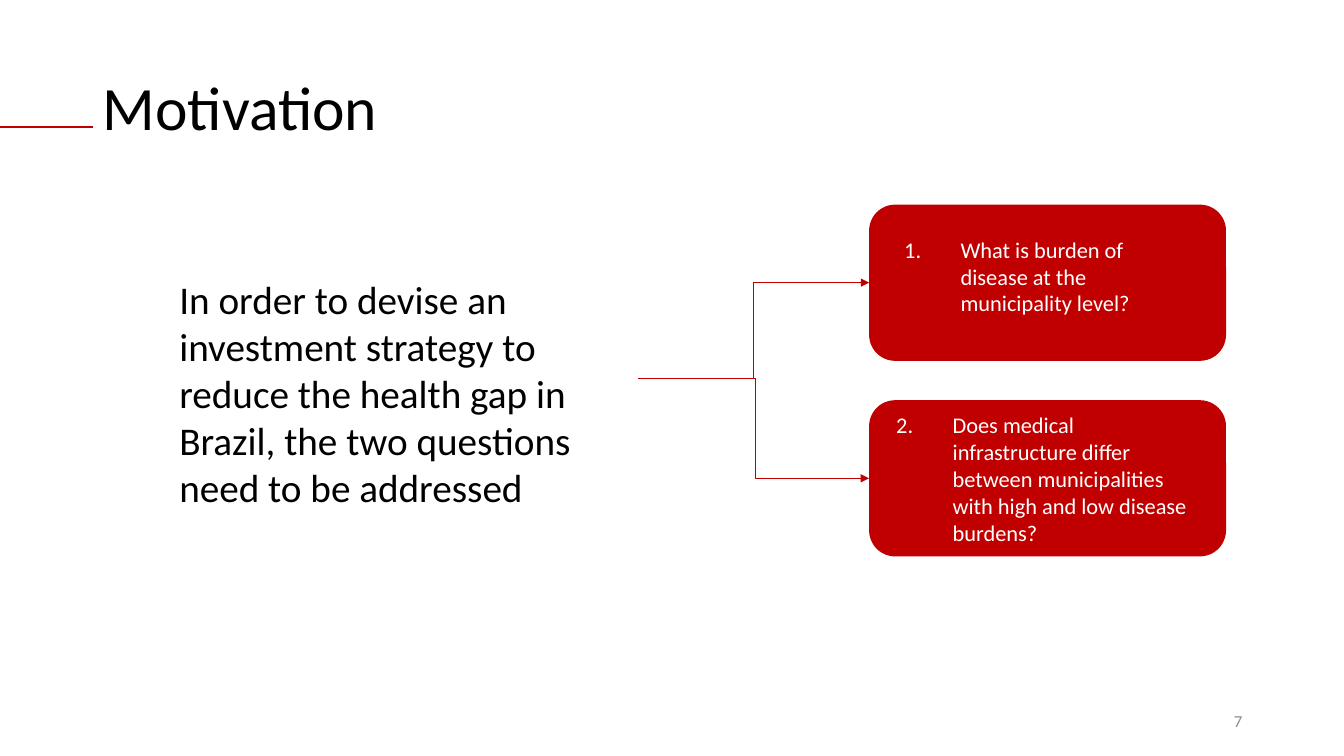
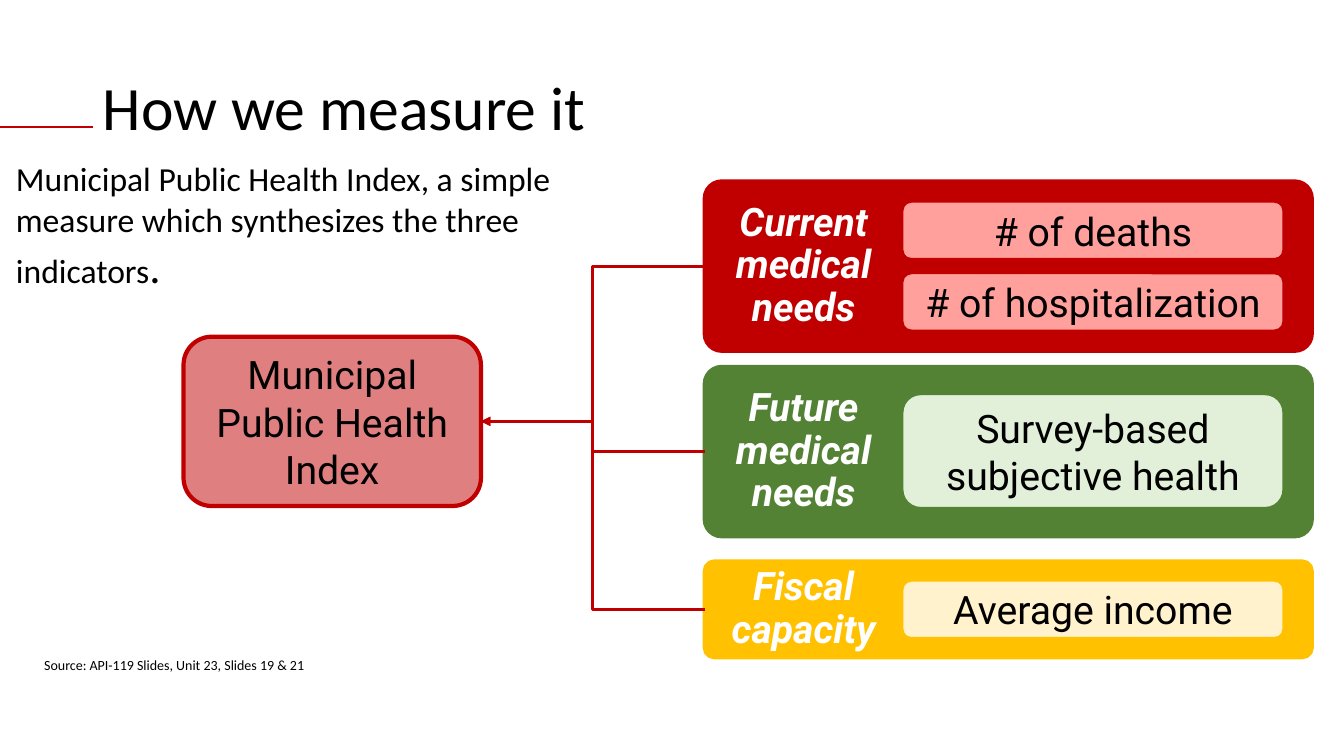
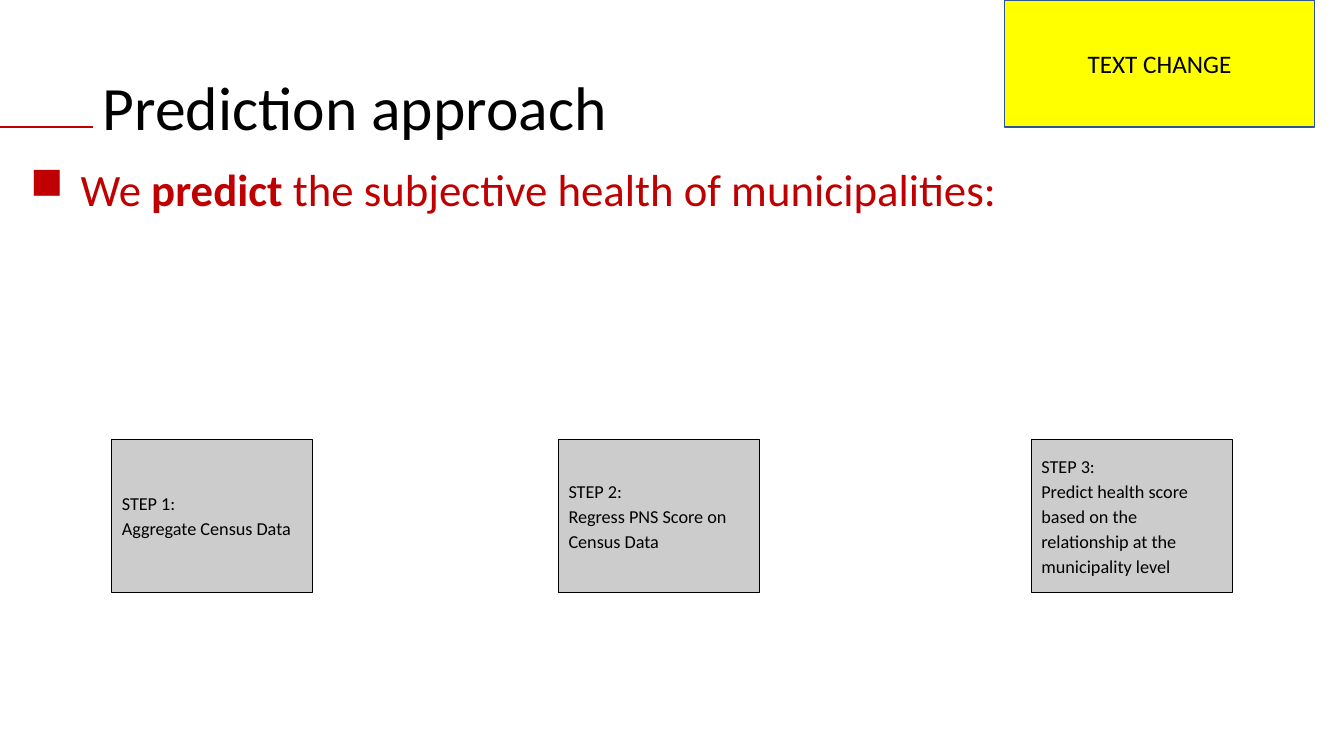
from dataclasses import dataclass

from lxml import etree
from pptx import Presentation
from pptx import util as u
from pptx.dml.color import RGBColor
from pptx.enum import shapes, text
from pptx.oxml.ns import qn

PX = 9144


@dataclass(frozen=True)
class Theme:
    body_font: str = "Calibri"
    diagram_font: str = "Roboto"
    red: str = "C00000"
    pink: str = "FFA09C"
    green: str = "538234"
    dark_green: str = "548235"
    pale_green: str = "E2F0D9"
    amber: str = "FFC100"
    cream: str = "FFF2CC"
    grey: str = "CCCCCC"
    yellow: str = "FFFF00"
    navy: str = "325491"
    black: str = "000000"
    white: str = "FFFFFF"
    muted: str = "8C8C8C"
    title: int = 44
    heading: int = 32
    diagram: int = 28
    intro: int = 24
    flag: int = 18
    question: int = 16
    step: int = 13
    number: int = 12
    source: int = 10


theme = Theme()
LEFT, CENTER, RIGHT = text.PP_ALIGN.LEFT, text.PP_ALIGN.CENTER, text.PP_ALIGN.RIGHT
TOP, MIDDLE = text.MSO_ANCHOR.TOP, text.MSO_ANCHOR.MIDDLE
RECT = shapes.MSO_SHAPE.RECTANGLE
ROUNDED = shapes.MSO_SHAPE.ROUNDED_RECTANGLE
STRAIGHT, ELBOW = shapes.MSO_CONNECTOR.STRAIGHT, shapes.MSO_CONNECTOR.ELBOW


def add_box(page, place, kind=None, fill=None, outline=None, weight=3):
    lengths = [length * PX for length in place]
    if kind is None:
        return page.shapes.add_textbox(*lengths)
    box = page.shapes.add_shape(kind, *lengths)
    box.shadow.inherit = False
    box.fill.solid()
    box.fill.fore_color.rgb = RGBColor.from_string(fill)
    if outline:
        box.line.color.rgb = RGBColor.from_string(outline)
        box.line.width = u.Pt(weight)
    else:
        box.line.fill.background()
    return box


def write(box, paragraphs, size, color=theme.black, font=theme.body_font, align=LEFT,
          anchor=TOP, spacing=None, strong=False, bullet=None, indent=0):
    frame = box.text_frame
    frame.word_wrap = True
    frame.vertical_anchor = anchor
    for number, runs in enumerate(paragraphs):
        para = frame.add_paragraph() if number else frame.paragraphs[0]
        para.alignment = align
        para.line_spacing = spacing
        if bullet:
            tag, attributes = bullet
            properties = para._p.get_or_add_pPr()
            properties.set("marL", str(indent * PX))
            properties.set("indent", str(-indent * PX))
            etree.SubElement(properties, qn(tag), attributes)
        for words in [runs] if isinstance(runs, str) else runs:
            span = para.add_run()
            span.text = words
            span.font.name = font
            span.font.size = u.Pt(size)
            span.font.bold = strong
            span.font.italic = strong
            span.font.color.rgb = RGBColor.from_string(color)
    return frame


deck = Presentation()
deck.slide_width, deck.slide_height = 1333 * PX, 750 * PX
pages = []
links = []

for heading in ("Motivation", "How we measure it", "Prediction approach"):
    page = deck.slides.add_slide(deck.slide_layouts[5])
    title = page.shapes.title
    title.left, title.top, title.width, title.height = 92 * PX, 40 * PX, 1150 * PX, 140 * PX
    write(title, [heading], theme.title, anchor=MIDDLE, spacing=0.9)
    links.append((page, STRAIGHT, (92, 126), (0, 126), None, None, 1.5, False))
    pages.append(page)

motivation, measure, prediction = pages

number_box = add_box(motivation, (942, 695, 300, 40))
write(number_box, ["7"], theme.number, theme.muted, align=RIGHT, anchor=MIDDLE)
goal = add_box(motivation, (168, 268, 468, 245))
write(goal, ["In order to devise an investment strategy to reduce the health gap in "
             "Brazil, the two questions need to be addressed"], theme.diagram)

questions = [
    (203, 633, (887, 229, 303, 91), "What is burden of disease at the municipality level?"),
    (397, 636, (879, 403, 321, 145), "Does medical infrastructure differ between municipalities "
                                     "with high and low disease burdens?"),
]
for order, (top, start, place, question) in enumerate(questions, 1):
    card = add_box(motivation, (862, top, 354, 155), ROUNDED, theme.red)
    numbering = ("a:buAutoNum", {"type": "arabicPeriod", "startAt": str(order)})
    write(add_box(motivation, place), [question], theme.question, theme.white,
          bullet=numbering, indent=56)
    links.append((motivation, ELBOW, (start, 375), (862, top + 77), None, card, 0.5, True))

source = add_box(measure, (34, 646, 300, 27))
write(source, ["Source: API-119 Slides, Unit 23, Slides 19 & 21"], theme.source)
intro = add_box(measure, (6, 152, 660, 175))
frame = write(intro, [("Municipal Public Health Index, a simple measure which synthesizes "
                       "the three indicators", ".")], theme.intro)
frame.paragraphs[0].runs[1].font.size = u.Pt(theme.heading)

index_box = add_box(measure, (182, 334, 295, 168), ROUNDED, theme.red, theme.red)
fill_color = index_box._element.spPr.find(".//" + qn("a:srgbClr"))
etree.SubElement(fill_color, qn("a:alpha"), {"val": "50000"})
write(index_box, ["Municipal", "Public Health", "Index"], theme.diagram,
      font=theme.diagram_font, align=CENTER, anchor=MIDDLE)

panels = [
    (180, 168, theme.red, theme.pink, theme.red, ["Current", "medical", "needs"],
     59, ["# of deaths", "# of hospitalization"], True),
    (364, 168, theme.green, theme.pale_green, theme.dark_green, ["Future", "medical", "needs"],
     115, ["Survey-based subjective health"], False),
    (557, 95, theme.amber, theme.cream, theme.amber, ["Fiscal capacity"],
     59, ["Average income"], True),
]
gap = 12
for top, height, color, tint, outline, label, item_height, items, arrow in panels:
    panel = add_box(measure, (699, top, 602, height), ROUNDED, color, color)
    panel.adjustments[0] = 0.1
    write(add_box(measure, (699, top, 196, height)), label, theme.diagram, theme.white,
          theme.diagram_font, CENTER, MIDDLE, 0.9, strong=True)
    stack = len(items) * (item_height + gap) - gap
    for row, item in enumerate(items):
        item_top = top + (height - stack) // 2 + row * (item_height + gap)
        item_box = add_box(measure, (894, item_top, 380, item_height), ROUNDED, tint, outline)
        write(item_box, [item], theme.diagram, font=theme.diagram_font,
              align=CENTER, anchor=MIDDLE)
    links.append((measure, ELBOW, (699, top + height // 2), (477, 418),
                  panel, index_box, 2.25, arrow))

lead = add_box(prediction, (20, 156, 1305, 64))
frame = write(lead, [("We ", "predict", " the subjective health of municipalities:")],
              theme.heading, theme.red, bullet=("a:buChar", {"char": "■"}), indent=50)
frame.paragraphs[0].runs[1].font.bold = True

steps = [
    (111, "STEP 1:", "Aggregate Census Data"),
    (554, "STEP 2:", "Regress PNS Score on Census Data"),
    (1023, "STEP 3:", "Predict health score based on the relationship at the municipality level"),
]
for left, name, action in steps:
    step_box = add_box(prediction, (left, 436, 199, 152), RECT, theme.grey, theme.black, 0.75)
    frame = write(step_box, [name, action], theme.step, anchor=MIDDLE)
    frame.margin_top = frame.margin_bottom = 10 * PX
    frame.paragraphs[1].line_spacing = 1.15
    frame.paragraphs[1].space_after = u.Pt(12)

flag = add_box(prediction, (996, 0, 308, 126), RECT, theme.yellow, theme.navy, 1)
write(flag, ["TEXT CHANGE"], theme.flag, align=CENTER, anchor=MIDDLE)

for page, kind, start, end, origin, target, weight, arrow in links:
    link = page.shapes.add_connector(kind, *[length * PX for length in start + end])
    if origin:
        link.begin_connect(origin, 1)
    if target:
        link.end_connect(target, 3 if origin else 1)
    link.line.color.rgb = RGBColor.from_string(theme.red)
    link.line.width = u.Pt(weight)
    if arrow:
        etree.SubElement(link.line._get_or_add_ln(), qn("a:tailEnd"), {"type": "triangle"})
    etree.SubElement(link._element.spPr, qn("a:effectLst"))

deck.save("out.pptx")
